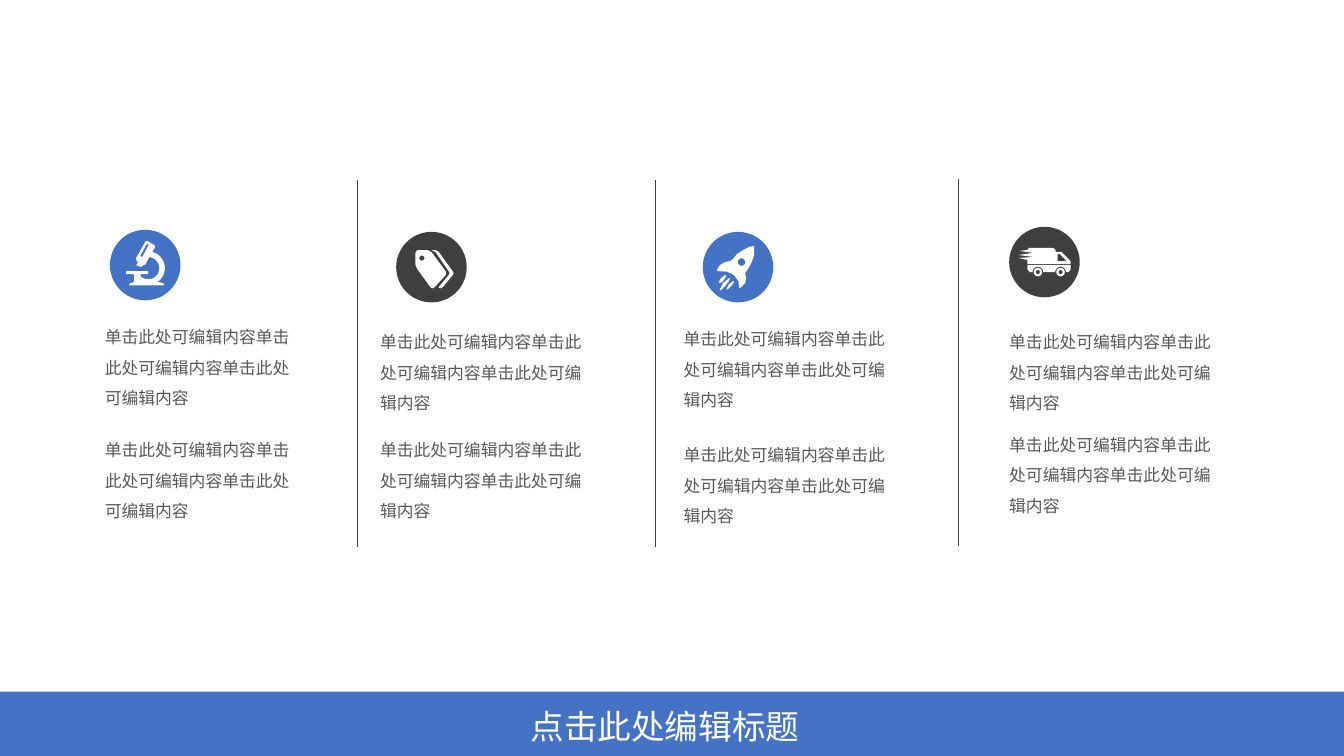
"""Build a slide of four icon columns above a title banner."""
from dataclasses import dataclass
from math import cos, radians, sin

from lxml import etree
from pptx import Presentation
from pptx.dml.color import RGBColor
from pptx.enum.shapes import MSO_CONNECTOR, MSO_SHAPE
from pptx.enum.text import MSO_ANCHOR, PP_ALIGN
from pptx.oxml.ns import qn
from pptx.util import Emu, Inches, Pt

OVAL, RECT = MSO_SHAPE.OVAL, MSO_SHAPE.RECTANGLE
STRAIGHT = MSO_CONNECTOR.STRAIGHT
TOP, MIDDLE = MSO_ANCHOR.TOP, MSO_ANCHOR.MIDDLE
LEFT, CENTER = PP_ALIGN.LEFT, PP_ALIGN.CENTER
SLIDE_W, SLIDE_H = Inches(13.33), Inches(7.5)
ICON_UNITS = 70
BADGE_SIZE, BODY_H = 5.25, 8.93
DIVIDER_H = 48.53
BODY = "单击此处可编辑内容" * 3
TITLE = "点击此处编辑标题"

Point = tuple[float, float]
Contour = list[Point]


@dataclass(frozen=True)
class Theme:
    blue: RGBColor = RGBColor(0x44, 0x72, 0xC4)
    dark: RGBColor = RGBColor(0x3F, 0x3F, 0x3F)
    rule: RGBColor = RGBColor(0x40, 0x40, 0x40)
    grey: RGBColor = RGBColor(0x59, 0x59, 0x59)
    white: RGBColor = RGBColor(0xFF, 0xFF, 0xFF)
    font: str = "Noto Sans CJK SC"
    body: Pt = Pt(12)
    title: Pt = Pt(24)
    rule_w: Pt = Pt(0.5)


@dataclass(frozen=True)
class Column:
    badge: Point
    color: RGBColor
    icon: list[Contour]
    text_x: float
    text_w: float
    text_tops: Point


@dataclass(frozen=True)
class Divider:
    x: float
    top: float


def arc(cx: float, cy: float, radius: float, start: int, end: int) -> Contour:
    steps = 24
    angles = [radians(start + (end - start) * i / steps) for i in range(steps + 1)]
    return [(cx + radius * cos(a), cy + radius * sin(a)) for a in angles]


def ring(cx: float, cy: float, radius: float) -> Contour:
    return arc(cx, cy, radius, 0, 360)


THEME = Theme()
MICROSCOPE = [
    [(49, 52), *arc(38, 38, 16.5, 57, -76), (45, 17), (44, 15), (37, 11), (36, 11),
     (35, 12), (26, 28), (26.5, 31), (28, 32), (26, 35), (31, 37), (33, 35),
     (35, 34.5), (36, 33), *arc(38, 38, 11, -85, 135), (30, 45), (31, 44), (38, 44),
     (38, 41), (16, 41), (16, 44), (23, 44), (24, 45), (24, 52), (20, 53), (19, 55),
     (54, 55), (53, 53)],
    [(39, 15), (38, 16), (32, 27), (30, 26), (36, 15), (37, 14)],
]
TAGS = [
    [(49, 39), (49.5, 41), (49, 43), (38, 55), (36, 56), (34, 55), (21, 37),
     (19.5, 34), (19, 32), (19, 21), (20, 19), (22, 18), (31, 18), (33, 19), (35, 20)],
    ring(25.5, 26, 2.5),
    [(56, 39), (57, 41), (56, 43), (46, 55), (44, 56), (42, 55), (52, 43), (53, 41),
     (52, 39), (39, 20), (37, 19), (35, 18), (39, 18), (41, 19), (43, 21)],
]
ROCKET = [
    [(51, 14), (51, 23), (49, 29), (46, 35), (42, 41), (43, 46), (42, 51), (37, 56),
     (36, 55), (35.5, 49), (31, 43), (24, 39.5), (15, 39), (14, 38), (17, 33),
     (22, 30), (27, 29), (30, 27), (34, 22), (40, 18), (46, 15)],
    ring(38.5, 30, 3.7),
    [(31, 49), (30, 52), (25, 57), (23.5, 57), (26, 52), (30, 49)],
    [(27, 46), (26, 49), (22, 54), (18, 58), (17, 57), (20, 51), (26, 46)],
    [(23, 43), (23, 45), (20, 49), (17, 51), (16, 50), (18, 46), (22, 43)],
]
WHEELS = [ring(cx, 45, radius) for cx in (28.5, 51) for radius in (4.2, 2)]
VAN = [
    *WHEELS,
    [(61, 38), (61, 42), (59, 45), *arc(51, 45, 5.3, 0, -180),
     *arc(28.5, 45, 5.3, 0, -180), (20, 45), (18, 42), (18, 38)],
    [(60, 33), (52, 25), (50, 25), (46, 25), (46, 23), (44, 21), (20, 21), (18, 23),
     (10, 24), (24, 26), (9, 28), (24, 30), (9, 31), (18, 33), (18, 37), (61, 37),
     (61, 35)],
    [(56, 34), (48, 34), (48, 27), (50, 27), (56, 33)],
]
COLUMNS = [
    Column((8.18, 30.4), THEME.blue, MICROSCOPE, 7.8, 14.78, (43.47, 58.4)),
    Column((29.48, 30.67), THEME.dark, TAGS, 28.28, 16.43, (44.13, 58.4)),
    Column((52.29, 30.67), THEME.blue, ROCKET, 50.86, 16.73, (43.73, 59.07)),
    Column((75.09, 30), THEME.dark, VAN, 75.09, 15.9, (44.13, 57.73)),
]
DIVIDERS = [Divider(26.56, 23.87), Divider(48.76, 23.87), Divider(71.34, 23.73)]


def across(share: float) -> Emu:
    return Emu(round(SLIDE_W * share / 100))


def down(share: float) -> Emu:
    return Emu(round(SLIDE_H * share / 100))


def paint(sp, color: RGBColor) -> None:
    sp.shadow.inherit = False
    sp.fill.solid()
    sp.fill.fore_color.rgb = color
    sp.line.fill.background()


def add_text(s, x: float, y: float, w: float, h: float, text: str, size: Pt,
             color: RGBColor, align=LEFT, anchor=TOP, spacing: float = 1.0,
             inset: float = 0.1) -> None:
    tf = s.shapes.add_textbox(across(x), down(y), across(w), down(h)).text_frame
    tf.word_wrap = True
    tf.vertical_anchor = anchor
    tf.margin_left = Inches(inset)
    p = tf.paragraphs[0]
    p.alignment = align
    p.line_spacing = spacing
    r = p.add_run()
    r.text = text
    r.font.size = size
    r.font.name = THEME.font
    r.font.color.rgb = color
    ea = etree.SubElement(r.font._element, qn("a:ea"))
    ea.set("typeface", THEME.font)


def add_icon(s, left: Emu, top: Emu, size: Emu, contours: list[Contour]) -> None:
    unit = size / ICON_UNITS
    placed = [[(left + x * unit, top + y * unit) for x, y in c] for c in contours]
    first, *others = placed
    builder = s.shapes.build_freeform(*first[0])
    builder.add_line_segments(first[1:], close=True)
    for contour in others:
        builder.move_to(*contour[0])
        builder.add_line_segments(contour[1:], close=True)
    paint(builder.convert_to_shape(), THEME.white)


def add_column(s, col: Column) -> None:
    left, top, size = across(col.badge[0]), down(col.badge[1]), across(BADGE_SIZE)
    paint(s.shapes.add_shape(OVAL, left, top, size, size), col.color)
    add_icon(s, left, top, size, col.icon)
    for text_top in col.text_tops:
        add_text(s, col.text_x, text_top, col.text_w, BODY_H, BODY, THEME.body,
                 THEME.grey, anchor=MIDDLE, spacing=1.5, inset=0)


def add_divider(s, div: Divider) -> None:
    x = across(div.x)
    sp = s.shapes.add_connector(STRAIGHT, x, down(div.top), x, down(div.top + DIVIDER_H))
    sp.line.color.rgb = THEME.rule
    sp.line.width = THEME.rule_w
    etree.SubElement(sp._element.spPr, qn("a:effectLst"))


def main() -> None:
    prs = Presentation()
    prs.slide_width, prs.slide_height = SLIDE_W, SLIDE_H
    s = prs.slides.add_slide(prs.slide_layouts[6])
    for col in COLUMNS:
        add_column(s, col)
    banner = s.shapes.add_shape(RECT, 0, down(91.47), SLIDE_W, down(8.53))
    paint(banner, THEME.blue)
    add_text(s, 34.43, 92.67, 30.08, 6.67, TITLE, THEME.title, THEME.white, CENTER)
    for div in DIVIDERS:
        add_divider(s, div)
    prs.save("out.pptx")


if __name__ == "__main__":
    main()
